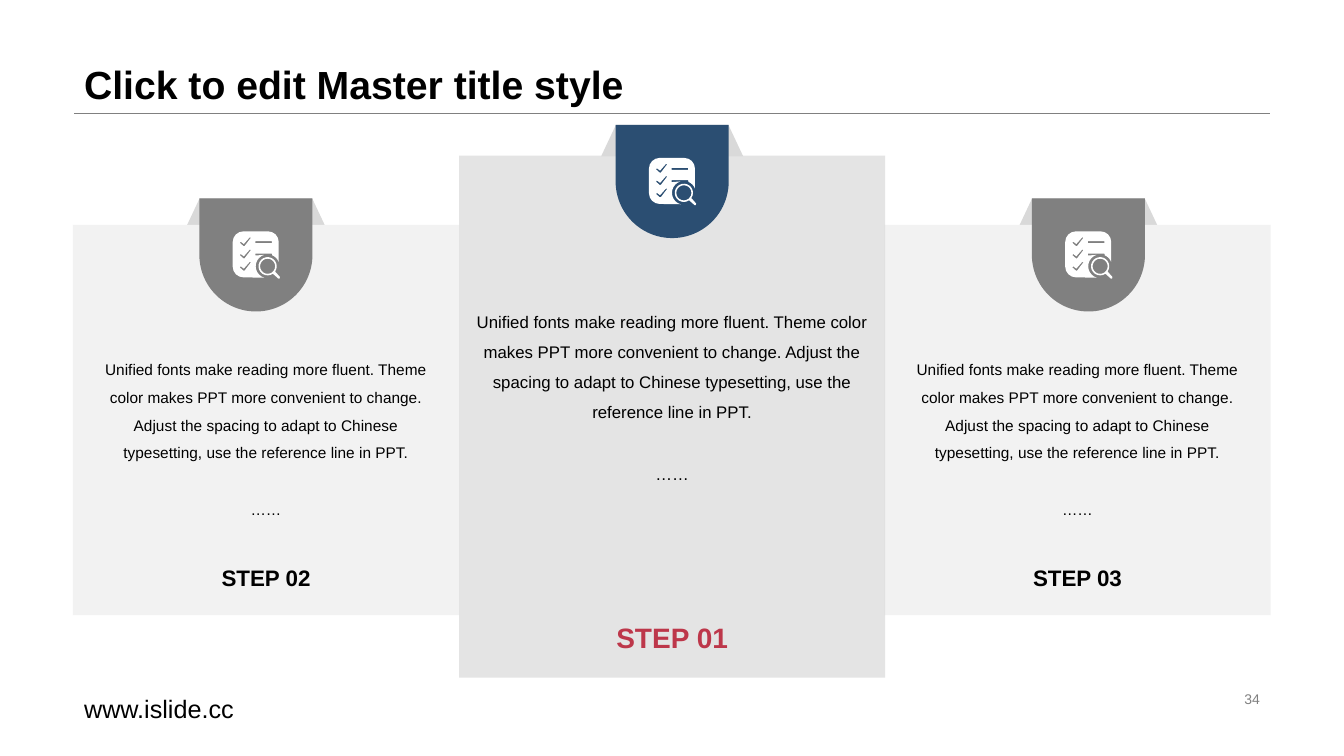
from dataclasses import dataclass
from math import cos, radians, sin

from lxml.etree import SubElement
from pptx import Presentation
from pptx.dml.color import RGBColor as Rgb
from pptx.enum.shapes import MSO_CONNECTOR as Link, MSO_SHAPE as Kind
from pptx.enum.text import MSO_ANCHOR as Anchor, PP_ALIGN as Align
from pptx.oxml.ns import qn
from pptx.shapes.autoshape import Shape
from pptx.util import Cm, Pt

Path = list[tuple[float, float]]

HUES = {
    "black": "000000",
    "white": "FFFFFF",
    "gray": "808080",
    "fold": "D9D9D9",
    "pale": "F2F2F2",
    "navy": "2B4E72",
    "red": "BD374A",
}
FONT = "Arial"
BODY = (
    "Unified fonts make reading more fluent. Theme color makes PPT more "
    "convenient to change. Adjust the spacing to adapt to Chinese typesetting, "
    "use the reference line in PPT."
)
BADGE = 2.85
FOLD_W, FOLD_H = 3.58, 0.79
BODY_H = 5.61
TILE, CURVE, HUB = 1.16, 0.27, 0.88  # icon side, corner radius, lens centre
TICK = [(0.46, 0.16), (0.43, 0.15), (0.28, 0.32), (0.2, 0.26), (0.18, 0.29),
        (0.27, 0.37), (0.3, 0.37)]


@dataclass
class Step:
    name: str
    left: float
    top: float
    width: float
    height: float
    mid: float  # centre of the badge
    peak: float  # top of the badge
    body_top: float
    body_w: float
    body_size: int
    name_size: int
    fill: str = "pale"
    alpha: int = 100
    badge: str = "gray"
    ink: str = "black"


SIDE = dict(top=5.67, width=9.73, height=9.83, peak=5.0, body_top=8.15,
            body_w=8.81, body_size=11, name_size=16)
STEPS = [
    Step("STEP 03", left=22.29, mid=27.43, **SIDE),
    Step("STEP 02", left=1.84, mid=6.45, **SIDE),
    Step("STEP 01", left=11.57, top=3.92, width=10.74, height=13.16,
         mid=16.94, peak=3.15, body_top=7.09, body_w=10.74, body_size=12,
         name_size=20, fill="fold", alpha=70, badge="navy", ink="red"),
]

deck = Presentation()
deck.slide_width, deck.slide_height = Cm(33.87), Cm(19.05)
slide = deck.slides.add_slide(deck.slide_layouts[6])
shapes = slide.shapes


def tint(hue: str) -> Rgb:
    return Rgb.from_string(HUES[hue])


def write(box: Shape, *lines: str, size: float, hue: str = "black",
          bold: bool = False, align: Align = Align.LEFT,
          anchor: Anchor = Anchor.TOP, pitch: float = 1.0, gap: float = 0,
          foot: float = 0.13) -> None:
    """Fill a box with paragraphs, gap points apart."""
    frame = box.text_frame
    frame.word_wrap = True
    frame.vertical_anchor = anchor
    frame.margin_bottom = Cm(foot)
    for i, line in enumerate(lines):
        para = frame.add_paragraph() if i else frame.paragraphs[0]
        para.alignment, para.line_spacing = align, pitch
        if i:
            para.space_before = Pt(gap)
        run = para.add_run()
        run.text = line
        font = run.font
        font.name, font.size, font.bold = FONT, Pt(size), bold
        font.color.rgb = tint(hue)


def label(x: float, y: float, w: float, h: float, *lines: str, **look) -> None:
    write(shapes.add_textbox(Cm(x), Cm(y), Cm(w), Cm(h)), *lines, **look)


def paint(item: Shape, hue: str) -> None:
    item.shadow.inherit = False
    item.fill.solid()
    item.fill.fore_color.rgb = tint(hue)
    item.line.fill.background()


def block(kind: Kind, x: float, y: float, w: float, h: float, hue: str,
          adjs: tuple[float, ...] = (), alpha: int = 100) -> Shape:
    """Add a filled shape without outline; alpha is in percent."""
    item = shapes.add_shape(kind, Cm(x), Cm(y), Cm(w), Cm(h))
    paint(item, hue)
    for i, value in enumerate(adjs):
        item.adjustments[i] = value
    if alpha < 100:
        color = item.fill._xPr.find(f".//{qn('a:srgbClr')}")
        SubElement(color, qn("a:alpha")).set("val", str(alpha * 1000))
    return item


def rule(x1: float, y1: float, x2: float, y2: float, hue: str,
         width: float) -> None:
    line = shapes.add_connector(Link.STRAIGHT, Cm(x1), Cm(y1), Cm(x2), Cm(y2))
    line.line.color.rgb = tint(hue)
    line.line.width = Pt(width)
    SubElement(line._element.spPr, qn("a:effectLst"))


def arc(x: float, y: float, r: float, start: float, end: float,
        parts: int) -> Path:
    turns = [radians(start + (end - start) * i / parts)
             for i in range(parts + 1)]
    return [(x + r * cos(t), y + r * sin(t)) for t in turns]


def glyph() -> list[Path]:
    """Outline a checklist with a magnifier; inner paths are holes."""
    far = TILE - CURVE
    tile = [
        *arc(CURVE, CURVE, CURVE, 180, 270, 4),
        *arc(far, CURVE, CURVE, 270, 360, 4),
        *arc(HUB, HUB, 0.3, -21, -68, 4),
        (0.99, 0.56), (0.57, 0.56), (0.57, 0.61),
        *arc(HUB, HUB, 0.3, -107, -254, 10),
        *arc(CURVE, far, CURVE, 90, 180, 4),
    ]
    dash = [(0.57, 0.25), (0.99, 0.25), (0.99, 0.3), (0.57, 0.3)]
    ticks = [[(x, y + 0.31 * row) for x, y in TICK] for row in range(3)]
    glass = [*arc(HUB, HUB, 0.23, 55, 395, 20),
             (1.19, 1.15), (1.18, 1.19), (1.15, 1.19)]
    return [tile, dash, *ticks, glass, arc(HUB, HUB, 0.19, 0, 342, 19)]


def icon(x: float, y: float) -> None:
    first, *rest = [[(px * 1000, py * 1000) for px, py in path]
                    for path in glyph()]
    pen = shapes.build_freeform(*first[0], scale=Cm(0.001))
    pen.add_line_segments(first[1:])
    for path in rest:
        pen.move_to(*path[0])
        pen.add_line_segments(path[1:])
    paint(pen.convert_to_shape(Cm(x), Cm(y)), "white")


def card(step: Step) -> None:
    box = block(Kind.RECTANGLE, step.left, step.top, step.width, step.height,
                step.fill, alpha=step.alpha)
    write(box, step.name, size=step.name_size, hue=step.ink, bold=True,
          align=Align.CENTER, anchor=Anchor.BOTTOM, foot=0.6)
    x = step.mid - BADGE / 2
    block(Kind.ROUND_2_SAME_RECTANGLE, x, step.peak, BADGE, BADGE, step.badge,
          (0, 0.5))
    icon(x + 0.84, step.peak + 0.83)
    inset = (step.width - step.body_w) / 2
    label(step.left + inset, step.body_top, step.body_w, BODY_H, BODY, "……",
          size=step.body_size, align=Align.CENTER, anchor=Anchor.MIDDLE,
          pitch=1.5, gap=1.85 * step.body_size)


def main() -> None:
    rule(1.87, 2.85, 32, 2.85, "gray", 0.25)
    label(1.87, 0, 30.15, 2.85, "Click to edit Master title style", size=28,
          bold=True, anchor=Anchor.BOTTOM, pitch=0.9)
    label(1.87, 17.34, 11.5, 0.58, "www.islide.cc", size=18)
    label(23.92, 17.32, 8.08, 0.58, "34", size=10, hue="gray",
          align=Align.RIGHT, anchor=Anchor.MIDDLE)
    for step in STEPS:
        block(Kind.TRAPEZOID, step.mid - FOLD_W / 2, step.peak, FOLD_W, FOLD_H,
              "fold", (0.47,))
    for step in STEPS:
        card(step)
    deck.save("out.pptx")


if __name__ == "__main__":
    main()
